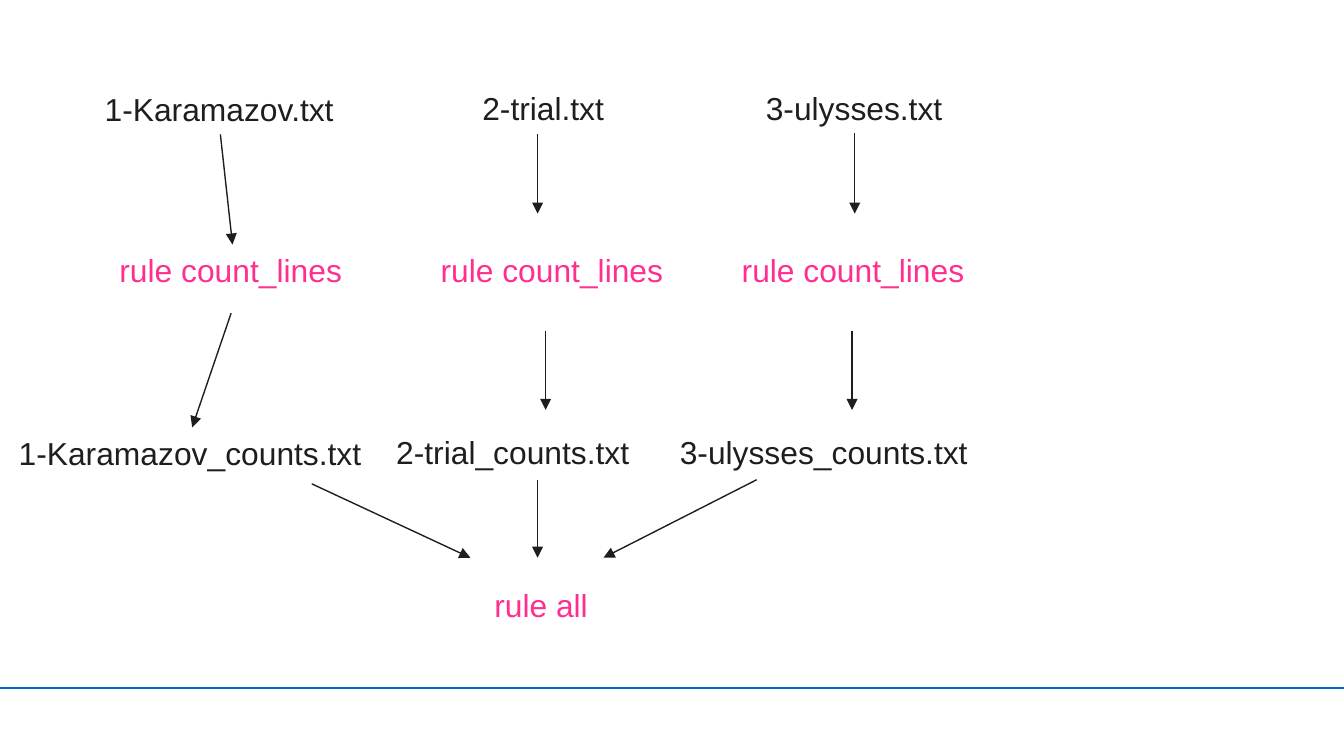
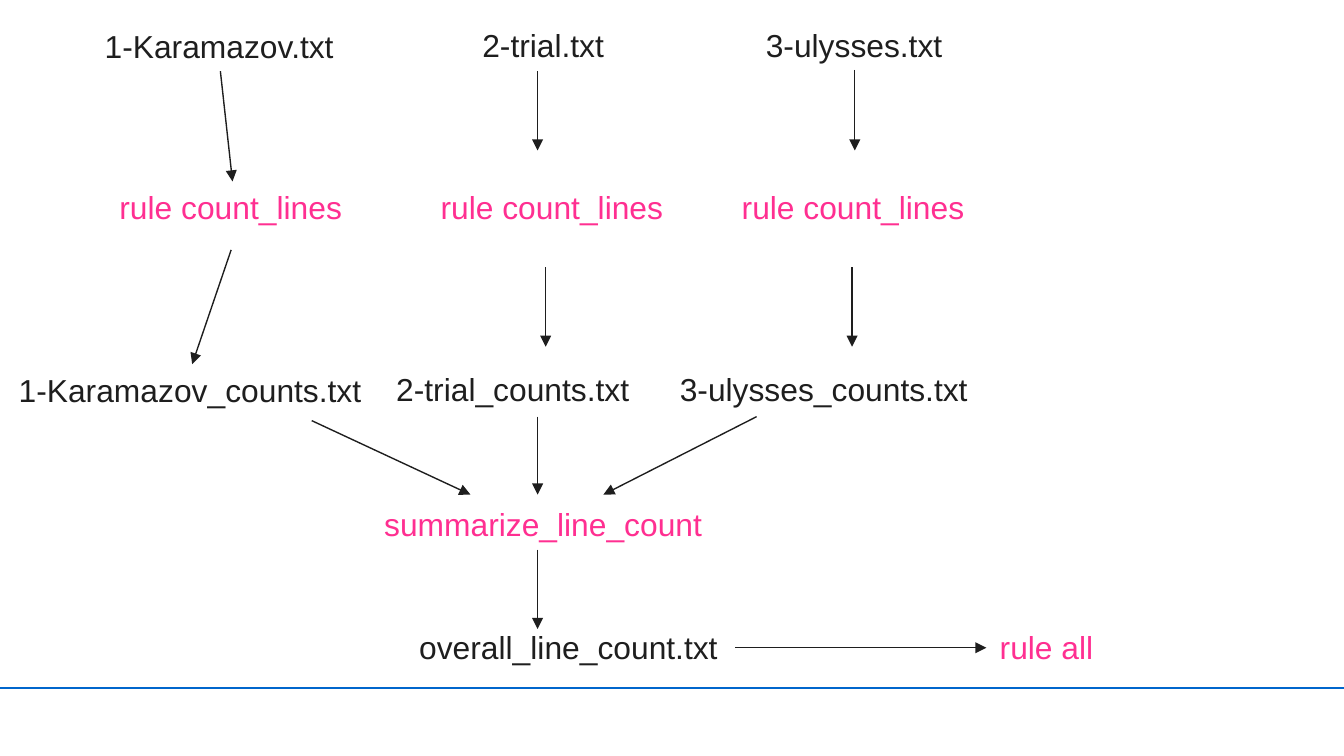
from dataclasses import dataclass

import pptx
import pptx.dml.color
import pptx.enum.shapes
import pptx.enum.text
import pptx.oxml.ns
import pptx.util
from lxml import etree
from pptx.util import Inches


@dataclass(frozen=True)
class Theme:
    ink: str = "1E1E1E"
    rule: str = "FF2F91"
    band: str = "0066CC"
    font: str = "Arial"
    text_size: float = 17
    arrow_width: float = 0.75
    band_width: float = 1.5
    label_height: float = 0.39


class WorkflowDeck:
    def __init__(self, theme):
        self.theme = theme
        self.presentation = pptx.Presentation()
        self.presentation.slide_width = Inches(10)
        self.presentation.slide_height = Inches(10 * 9 / 16)
        self.slide = None

    def new_slide(self):
        self.slide = self.presentation.slides.add_slide(self.presentation.slide_layouts[6])
        self.line((-0.04, 5.12), (10.15, 5.12), self.theme.band, self.theme.band_width)

    def line(self, start, end, color, width):
        connector = self.slide.shapes.add_connector(
            pptx.enum.shapes.MSO_CONNECTOR.STRAIGHT,
            *(Inches(value) for value in (*start, *end)))
        connector.line.color.rgb = pptx.dml.color.RGBColor.from_string(color)
        connector.line.width = pptx.util.Pt(width)
        etree.SubElement(connector._element.spPr, pptx.oxml.ns.qn("a:effectLst"))
        return connector

    def arrow(self, start, end):
        connector = self.line(start, end, self.theme.ink, self.theme.arrow_width)
        outline = connector.line._get_or_add_ln()
        etree.SubElement(outline, pptx.oxml.ns.qn("a:tailEnd"), type="triangle")

    def label(self, text, left, top, width, color):
        box = self.slide.shapes.add_textbox(
            Inches(left), Inches(top), Inches(width), Inches(self.theme.label_height))
        frame = box.text_frame
        frame.word_wrap = False
        frame.auto_size = pptx.enum.text.MSO_AUTO_SIZE.SHAPE_TO_FIT_TEXT
        frame.text = text
        font = frame.paragraphs[0].runs[0].font
        font.name = self.theme.font
        font.size = pptx.util.Pt(self.theme.text_size)
        font.color.rgb = pptx.dml.color.RGBColor.from_string(color)

    def file(self, text, left, top, width):
        self.label(text, left, top, width, self.theme.ink)

    def rule(self, text, left, top, width):
        self.label(text, left, top, width, self.theme.rule)


# Positions are measured from the top of the middle input file.
INPUT_FILES = [
    ("1-Karamazov.txt", 0.68, 0.01, 1.92),
    ("2-trial.txt", 3.49, 0, 1.12),
    ("3-ulysses.txt", 5.6, 0, 1.53),
]
COUNT_RULE_LEFTS = [0.79, 3.18, 5.42]
COUNT_FILES = [
    ("1-Karamazov_counts.txt", 0.04, 2.57, 2.78),
    ("2-trial_counts.txt", 2.85, 2.56, 1.96),
    ("3-ulysses_counts.txt", 4.96, 2.56, 2.37),
]
ARROWS = [
    # input file to rule
    ((1.64, 0.39), (1.73, 1.21)),
    ((4, 0.39), (4, 0.98)),
    ((6.36, 0.38), (6.36, 0.98)),
    # rule to count file
    ((1.72, 1.72), (1.43, 2.57)),
    ((4.06, 1.85), (4.06, 2.44)),
    ((6.34, 1.85), (6.34, 2.44)),
    # count file to the shared target
    ((2.32, 2.99), (3.5, 3.54)),
    ((4, 2.96), (4, 3.54)),
    ((5.63, 2.96), (4.49, 3.54)),
]


def draw_counting(deck, top):
    """Draw the three parallel counting branches below the given top."""
    for text, left, offset, width in INPUT_FILES + COUNT_FILES:
        deck.file(text, left, top + offset, width)
    for left in COUNT_RULE_LEFTS:
        deck.rule("rule count_lines", left, top + 1.21, 1.88)
    for (start_x, start_y), (end_x, end_y) in ARROWS:
        deck.arrow((start_x, top + start_y), (end_x, top + end_y))


def counting_slide(deck):
    deck.new_slide()
    draw_counting(deck, 0.61)
    deck.rule("rule all", 3.58, 4.31, 0.9)


def summary_slide(deck):
    deck.new_slide()
    draw_counting(deck, 0.14)
    deck.rule("summarize_line_count", 2.76, 3.71, 2.59)
    deck.arrow((4, 4.09), (4, 4.68))
    deck.file("overall_line_count.txt", 3.02, 4.62, 2.45)
    deck.arrow((5.47, 4.82), (7.34, 4.82))
    deck.rule("rule all", 7.34, 4.62, 0.9)


def main():
    deck = WorkflowDeck(Theme())
    counting_slide(deck)
    summary_slide(deck)
    deck.presentation.save("out.pptx")


if __name__ == "__main__":
    main()
